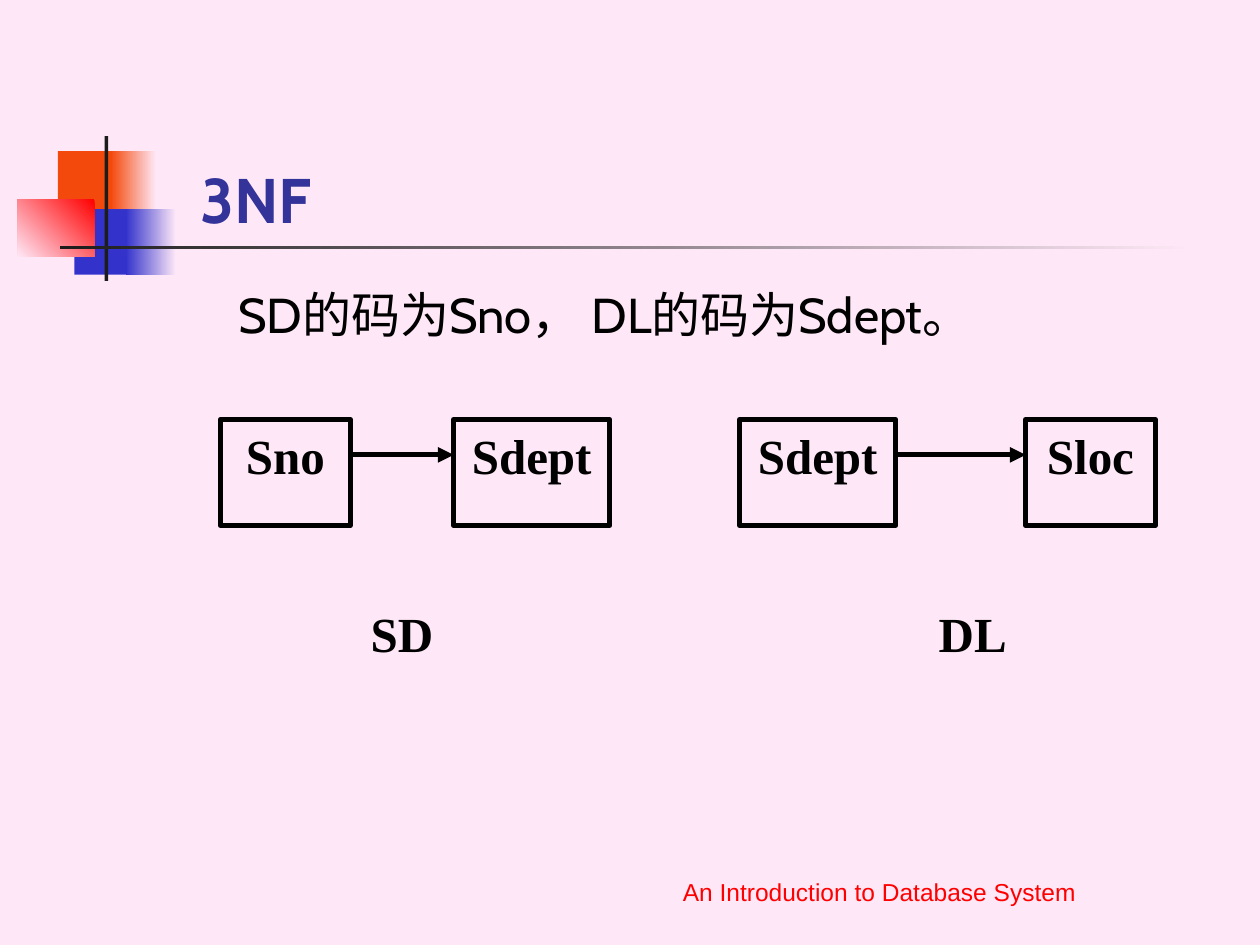
from typing import NamedTuple

from lxml import etree
from pptx import Presentation
from pptx.dml.color import RGBColor
from pptx.enum.shapes import MSO_CONNECTOR, MSO_SHAPE
from pptx.enum.text import MSO_ANCHOR, PP_ALIGN
from pptx.oxml.ns import qn
from pptx.util import Inches, Pt

RECT = MSO_SHAPE.RECTANGLE
LINE = MSO_CONNECTOR.STRAIGHT
TOP, BOTTOM = MSO_ANCHOR.TOP, MSO_ANCHOR.BOTTOM
LEFT, CENTER = PP_ALIGN.LEFT, PP_ALIGN.CENTER
PAPER, INK, ORANGE, BLUE = "FEE8F7", "1C1C1C", "F4490C", "3333CC"
BLACK, RED, NAVY = "000000", "FF0000", "333399"


class Box(NamedTuple):
    x: float
    y: float
    w: float
    h: float


class Tile(NamedTuple):
    box: Box
    colors: tuple[str, ...]
    angle: float = 180


class Style(NamedTuple):
    size: float
    font: str
    color: str
    bold: bool = False
    align: PP_ALIGN = CENTER


class Label(NamedTuple):
    text: str
    box: Box
    style: Style
    anchor: MSO_ANCHOR = TOP
    inset: float = 0.1


class Node(NamedTuple):
    text: str
    x: float
    w: float


class Table(NamedTuple):
    name: str
    name_x: float
    key: Node
    value: Node


NODE = Style(28, "Times New Roman", BLACK, True)
NODE_Y, NODE_H, ARROW_Y, NAME_Y = 3.33, 0.84, 3.61, 4.74

TILES = [
    Tile(Box(0.46, 1.2, 0.48, 0.52), (ORANGE,)),
    Tile(Box(0.88, 1.2, 0.36, 0.52), (PAPER, ORANGE)),
    Tile(Box(0.59, 1.66, 0.46, 0.52), (BLUE,)),
    Tile(Box(1, 1.66, 0.4, 0.52), (PAPER, BLUE)),
    Tile(Box(0.14, 1.58, 0.61, 0.46), (RED, PAPER), 225),
    Tile(Box(0.83, 1.08, 0.03, 1.15), (INK,)),
    Tile(Box(0.48, 1.95, 9, 0.03), (PAPER, INK)),
]
LABELS = [
    Label("3NF", Box(1.26, 0.67, 8.52, 1.25),
          Style(36, "Cabin", NAVY, True, LEFT), BOTTOM, 0.33),
    Label("SD的码为Sno， DL的码为Sdept。", Box(1.29, 2.21, 8.5, 4.5),
          Style(28, "Cabin", BLACK, align=LEFT), inset=0.6),
    Label("An Introduction to Database System", Box(4.37, 6.74, 5.22, 0.5),
          Style(14, "Arial", RED), BOTTOM),
]
TABLES = [
    Table("SD", 2.78, Node("Sno", 1.75, 1.03), Node("Sdept", 3.6, 1.24)),
    Table("DL", 7.31, Node("Sdept", 5.87, 1.24), Node("Sloc", 8.14, 1.03)),
]


def rgb(code: str) -> RGBColor:
    return RGBColor.from_string(code)


def add_rect(slide, box: Box):
    shape = slide.shapes.add_shape(RECT, *map(Inches, box))
    shape.shadow.inherit = False
    return shape


def draw_tile(slide, tile: Tile) -> None:
    shape = add_rect(slide, tile.box)
    shape.line.fill.background()
    if len(tile.colors) == 1:
        shape.fill.solid()
        shape.fill.fore_color.rgb = rgb(tile.colors[0])
        return
    shape.fill.gradient()
    shape.fill.gradient_angle = tile.angle
    for stop, code in zip(shape.fill.gradient_stops, tile.colors):
        stop.color.rgb = rgb(code)


def set_text(shape, text: str, style: Style, anchor=TOP) -> None:
    frame = shape.text_frame
    frame.text = text
    frame.word_wrap = True
    frame.vertical_anchor = anchor
    para = frame.paragraphs[0]
    para.alignment = style.align
    font = para.runs[0].font
    font.size = Pt(style.size)
    font.name = style.font
    font.bold = style.bold
    font.color.rgb = rgb(style.color)


def draw_label(slide, label: Label) -> None:
    shape = slide.shapes.add_textbox(*map(Inches, label.box))
    set_text(shape, label.text, label.style, label.anchor)
    shape.text_frame.margin_left = Inches(label.inset)


def draw_node(slide, node: Node) -> None:
    shape = add_rect(slide, Box(node.x, NODE_Y, node.w, NODE_H))
    shape.fill.background()
    shape.line.color.rgb = rgb(BLACK)
    shape.line.width = Pt(3)
    set_text(shape, node.text, NODE)


def draw_arrow(slide, start: float, end: float) -> None:
    ends = (start, ARROW_Y, end, ARROW_Y)
    arrow = slide.shapes.add_connector(LINE, *map(Inches, ends))
    arrow.line.color.rgb = rgb(BLACK)
    arrow.line.width = Pt(3)
    props = arrow.line._get_or_add_ln()
    etree.SubElement(props, qn("a:tailEnd"), type="triangle")
    etree.SubElement(arrow._element.spPr, qn("a:effectLst"))


def draw_table(slide, table: Table) -> None:
    """Draw the key, the value it determines and the table name."""
    draw_node(slide, table.key)
    draw_node(slide, table.value)
    draw_arrow(slide, table.key.x + table.key.w, table.value.x)
    name_box = Box(table.name_x, NAME_Y, 0.82, NODE_H)
    draw_label(slide, Label(table.name, name_box, NODE))


def main() -> None:
    deck = Presentation()
    deck.slide_width, deck.slide_height = Inches(10), Inches(7.5)
    slide = deck.slides.add_slide(deck.slide_layouts[6])
    slide.background.fill.solid()
    slide.background.fill.fore_color.rgb = rgb(PAPER)
    for tile in TILES:
        draw_tile(slide, tile)
    for label in LABELS:
        draw_label(slide, label)
    for table in TABLES:
        draw_table(slide, table)
    deck.save("out.pptx")


if __name__ == "__main__":
    main()
